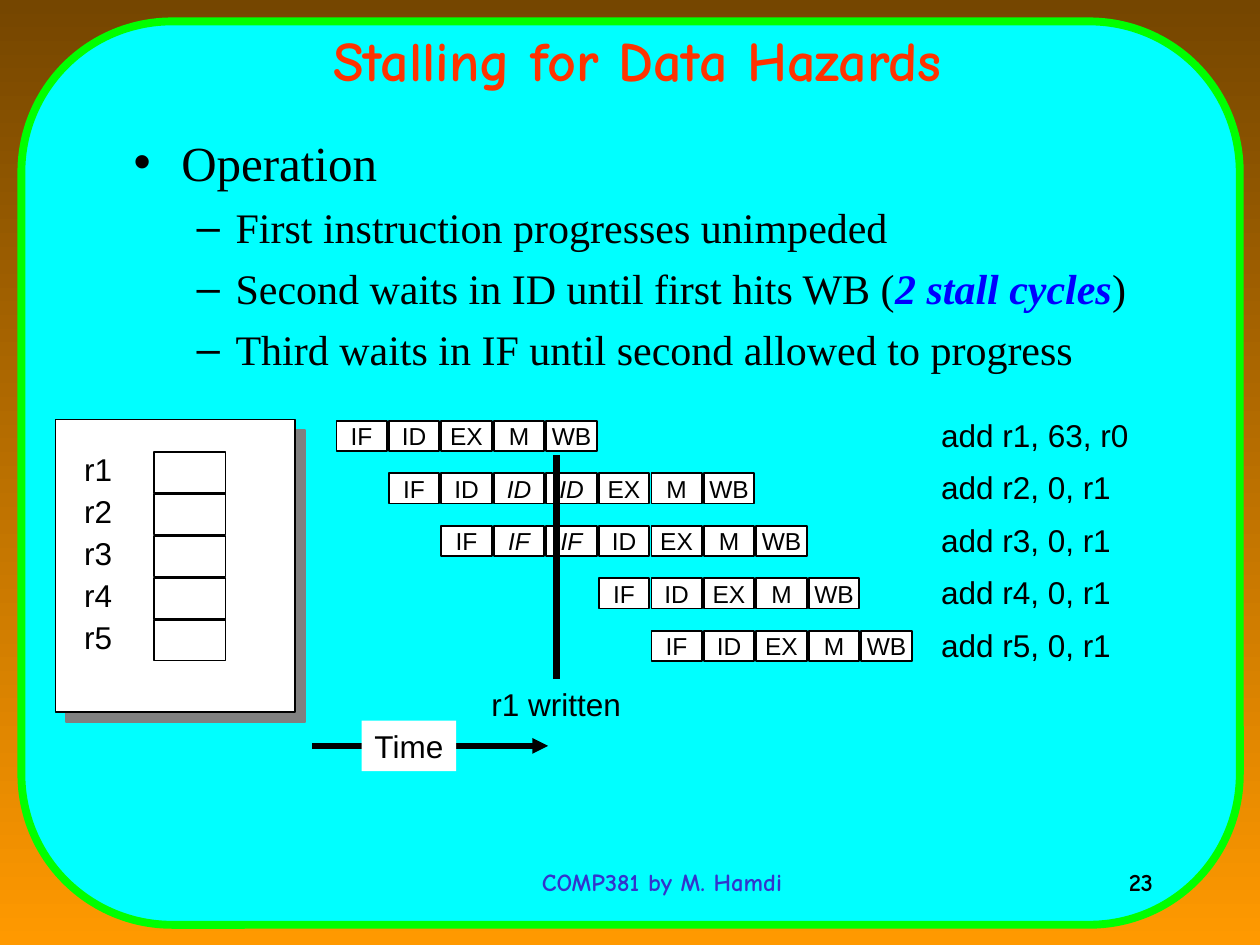
from dataclasses import dataclass
from typing import NamedTuple

from lxml.etree import SubElement as Sub
from pptx import Presentation
from pptx.dml.color import RGBColor as Rgb
from pptx.enum.shapes import MSO_CONNECTOR as Link, MSO_SHAPE as Kind
from pptx.enum.text import MSO_ANCHOR as Anchor, MSO_AUTO_SIZE as Fit, PP_ALIGN as Align
from pptx.oxml.ns import qn
from pptx.util import Inches, Pt

SANS, SERIF, COMIC = "Arial", "Times New Roman", "Comic Neue"
BLACK, WHITE = "000000", "FFFFFF"
STEP = 5 / 12
PITCH = 1 / 3


class Box(NamedTuple):
    left: float
    top: float
    width: float
    height: float


@dataclass
class Font:
    size: int
    name: str = SANS
    color: str = BLACK
    bold: bool = False
    slant: bool = False


@dataclass
class Row:
    start: int
    stages: str
    code: str


@dataclass
class Point:
    level: int
    runs: list[tuple[str, Font]]


MAIN, SUB = Font(28, SERIF), Font(24, SERIF)
STALL = Font(24, SERIF, "0000FF", True, True)
LABEL = Font(18)

POINTS = [
    Point(0, [("Operation", MAIN)]),
    Point(1, [("First instruction progresses unimpeded", SUB)]),
    Point(1, [("Second waits in ID until first hits WB (", SUB),
              ("2 stall cycles", STALL), (")", SUB)]),
    Point(1, [("Third waits in IF until second allowed to progress", SUB)]),
]
ROWS = [
    Row(0, "IF ID EX M WB", "add r1, 63, r0"),
    Row(1, "IF ID *ID *ID EX M WB", "add r2, 0, r1"),
    Row(2, "IF *IF *IF ID EX M WB", "add r3, 0, r1"),
    Row(5, "IF ID EX M WB", "add r4, 0, r1"),
    Row(6, "IF ID EX M WB", "add r5, 0, r1"),
]


def paint(target, color: str) -> None:
    target.solid()
    target.fore_color.rgb = Rgb.from_string(color)


def place(shape, box: Box) -> None:
    shape.left, shape.top, shape.width, shape.height = map(Inches, box)


def add_run(para, text: str, font: Font) -> None:
    run = para.add_run()
    run.text = text
    run.font.size, run.font.name = Pt(font.size), font.name
    run.font.bold, run.font.italic = font.bold, font.slant
    paint(run.font.fill, font.color)


def set_text(shape, text: str, font: Font, align=Align.LEFT,
             anchor=Anchor.TOP, wrap: bool = False) -> None:
    frame = shape.text_frame
    frame.word_wrap, frame.vertical_anchor = wrap, anchor
    para = frame.paragraphs[0]
    para.alignment = align
    add_run(para, text, font)


def add_box(slide, box: Box, fill: str = WHITE, line: str | None = BLACK,
            weight: float = 1, kind=Kind.RECTANGLE):
    shape = slide.shapes.add_shape(kind, *map(Inches, box))
    shape.shadow.inherit = False
    paint(shape.fill, fill)
    if line:
        paint(shape.line.fill, line)
        shape.line.width = Pt(weight)
    else:
        shape.line.fill.background()
    return shape


def add_label(slide, box: Box, text: str, font: Font = LABEL,
              align=Align.LEFT, wrap: bool = False) -> None:
    set_text(slide.shapes.add_textbox(*map(Inches, box)), text, font, align, wrap=wrap)


def add_line(slide, start: tuple[float, float], end: tuple[float, float],
             weight: float, arrow: bool = False) -> None:
    line = slide.shapes.add_connector(Link.STRAIGHT, *map(Inches, start + end))
    paint(line.line.fill, BLACK)
    line.line.width = Pt(weight)
    props = line.element.spPr
    if arrow:
        Sub(props.find(qn("a:ln")), qn("a:tailEnd"), type="triangle")
    Sub(props, qn("a:effectLst"))


def add_back(slide) -> None:
    fill = slide.background.fill
    fill.gradient()
    fill.gradient_angle = 270
    for stop, color in zip(fill.gradient_stops, ("754600", "FF9900")):
        stop.color.rgb = Rgb.from_string(color)
    panel = add_box(slide, Box(0.17, 0.17, 9.67, 7.17), "00FFFF", "00FF00", 4.5,
                    Kind.FLOWCHART_ALTERNATE_PROCESS)
    panel.element.getparent().insert(2, panel.element)


def add_title(slide) -> None:
    title = slide.shapes.title
    place(title, Box(2.17, 0.17, 5.78, 0.59))
    frame = title.text_frame
    frame.auto_size = Fit.NONE
    frame.margin_left = frame.margin_right = Inches(0.07)
    frame.margin_top = frame.margin_bottom = Inches(0.03)
    set_text(title, "Stalling for Data Hazards", Font(32, COMIC, "FF3300", True),
             Align.CENTER, wrap=True)


def add_list(slide) -> None:
    body = slide.placeholders[1]
    place(body, Box(0.96, 1, 8.5, 4.5))
    frame = body.text_frame
    frame.auto_size = Fit.NONE
    for spot, point in enumerate(POINTS):
        para = frame.add_paragraph() if spot else frame.paragraphs[0]
        para.level = point.level
        mark, left, hang, gap = (("•", 0.38, 0.38, 7), ("–", 0.81, 0.31, 6))[point.level]
        para.space_before = Pt(gap)
        for text, font in point.runs:
            add_run(para, text, font)
        props = para._p.get_or_add_pPr()
        props.set("marL", str(Inches(left)))
        props.set("indent", str(-Inches(hang)))
        Sub(Sub(props, qn("a:buClr")), qn("a:srgbClr"), val=BLACK)
        Sub(props, qn("a:buChar"), char=mark)


def add_stages(slide) -> None:
    for line, row in enumerate(ROWS):
        for col, stage in enumerate(row.stages.split(), row.start):
            cell = add_box(slide, Box(2.67 + col * STEP, 3.34 + line * STEP, 0.4, 0.24))
            set_text(cell, stage.lstrip("*"), Font(14, slant=stage.startswith("*")),
                     Align.CENTER, Anchor.MIDDLE)
        add_label(slide, Box(7.37, 3.25 + line * STEP, 1.69, 0.4), row.code)
    add_line(slide, (4.42, 3.61), (4.42, 5.39), 4)
    add_label(slide, Box(3.8, 5.39, 1.23, 0.4), "r1 written", align=Align.CENTER)


def add_time(slide) -> None:
    add_line(slide, (2.48, 5.92), (4.35, 5.92), 3, arrow=True)
    tag = add_box(slide, Box(2.87, 5.72, 0.75, 0.4), line=None)
    set_text(tag, "Time", LABEL, Align.CENTER)


def add_bank(slide) -> None:
    card = add_box(slide, Box(0.44, 3.33, 1.9, 2.32))
    glow = Sub(card.element.spPr.find(qn("a:effectLst")), qn("a:outerShdw"),
               dist=str(Pt(8.5)), dir="2700000", algn="ctr", rotWithShape="0")
    Sub(glow, qn("a:srgbClr"), val="808080")
    for spot in range(5):
        add_box(slide, Box(1.22, 3.59 + spot * PITCH, 0.57, 0.32))
        add_label(slide, Box(0.57, 3.52 + spot * PITCH, 0.42, 0.4), f"r{spot + 1}")


def main() -> None:
    deck = Presentation()
    deck.slide_width, deck.slide_height = Inches(10), Inches(7.5)
    slide = deck.slides.add_slide(deck.slide_layouts[1])
    add_back(slide)
    add_title(slide)
    add_list(slide)
    add_stages(slide)
    add_time(slide)
    add_bank(slide)
    add_label(slide, Box(3.67, 6.83, 3.17, 0.5), "COMP381 by M. Hamdi",
              Font(14, COMIC, "3333CC", True), Align.CENTER, True)
    add_label(slide, Box(7.17, 6.83, 2.08, 0.5), "23",
              Font(14, COMIC, BLACK, True), Align.RIGHT, True)
    deck.save("out.pptx")


if __name__ == "__main__":
    main()
